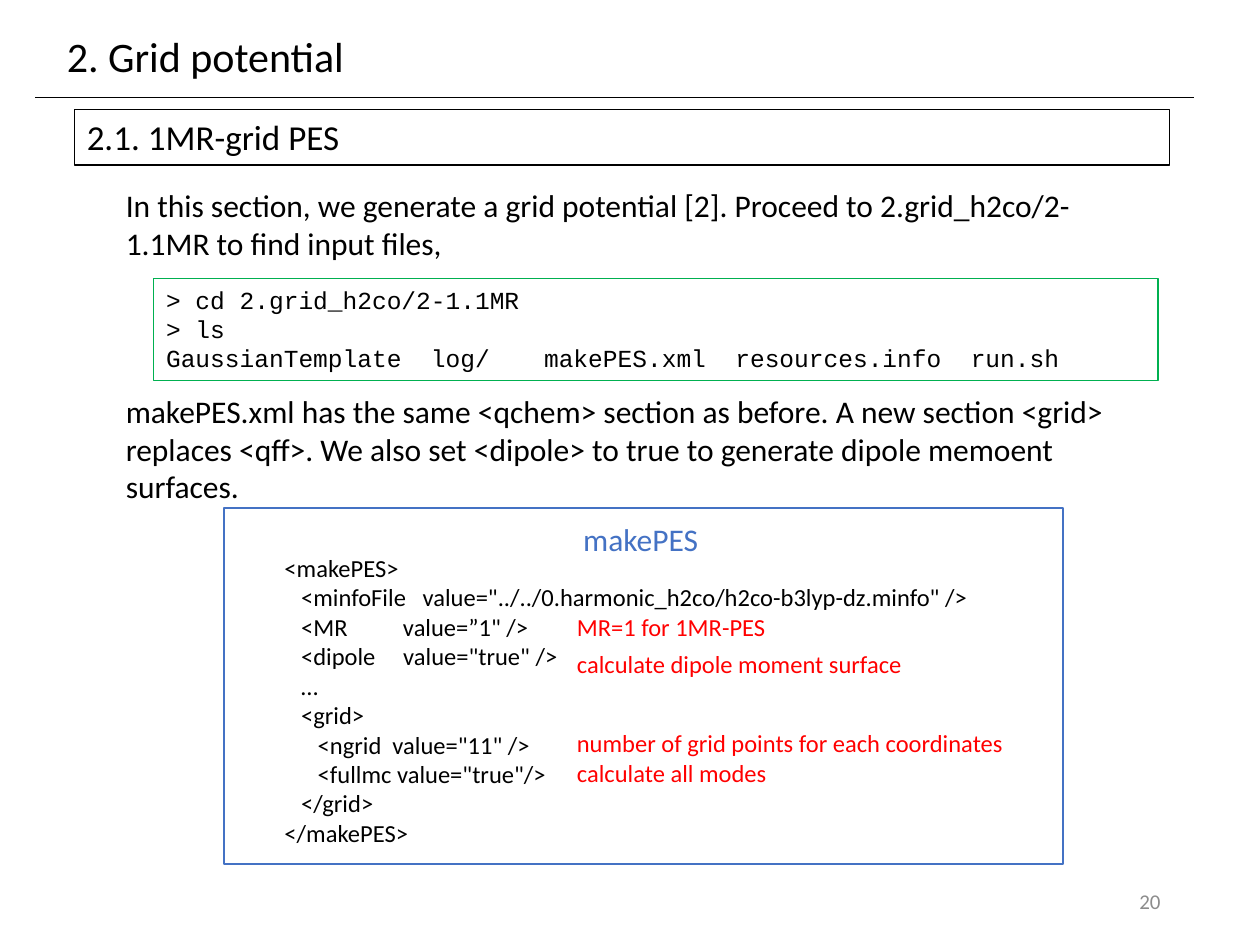
from lxml import etree
from pptx import Presentation
from pptx import util as u
from pptx.dml.color import RGBColor
from pptx.enum import shapes, text
from pptx.oxml.ns import qn

SCALE = 9144  # EMU per px, at 100 px to the inch
BLACK, RED, BLUE, GREEN, GRAY = "000000", "FF0000", "4472C4", "00B050", "8C8C8C"


def place(box, left, top, width, height):
    box.left, box.top, box.width, box.height = (
        u.Emu(px * SCALE) for px in (left, top, width, height))


def write(box, lines, size, color=BLACK, font="Calibri", wrap=True,
          align=text.PP_ALIGN.LEFT, anchor=text.MSO_ANCHOR.TOP):
    frame = box.text_frame
    frame.text = "\n".join(lines)
    frame.word_wrap = wrap
    frame.auto_size = text.MSO_AUTO_SIZE.NONE
    frame.vertical_anchor = anchor
    for para in frame.paragraphs:
        para.alignment = align
        para.font.size = u.Pt(size)
        para.font.name = font
        para.font.color.rgb = RGBColor.from_string(color)


deck = Presentation()
deck.slide_width, deck.slide_height = u.Emu(1000 * SCALE), u.Emu(750 * SCALE)
page = deck.slides.add_slide(deck.slide_layouts[5])

# Heading and its rule
title = page.shapes.title
place(title, 43, 19, 242, 50)
write(title, ["2. Grid potential"], 24, wrap=False)

rule = page.shapes.add_connector(
    shapes.MSO_CONNECTOR.STRAIGHT, *(u.Emu(px * SCALE) for px in (28, 77, 948, 77)))
rule.line.color.rgb = RGBColor.from_string(BLACK)
rule.line.width = u.Pt(0.5)
etree.SubElement(rule._element.spPr, qn("a:effectLst"))

# Outlined boxes: section heading, shell session, input file
section_lines = ["2.1. 1MR-grid PES"]
shell_lines = [
    "> cd 2.grid_h2co/2-1.1MR",
    "> ls",
    "GaussianTemplate  log/\tmakePES.xml  resources.info  run.sh",
]
frames = [
    ((59, 87, 869, 44), BLACK, 0.75, section_lines, 20, "Calibri"),
    ((122, 221, 797, 81), GREEN, 0.75, shell_lines, 14, "Courier New"),
    ((178, 403, 666, 283), BLUE, 1, [], 14, "Calibri"),
]
for area, color, weight, lines, size, font in frames:
    box = page.shapes.add_shape(shapes.MSO_SHAPE.RECTANGLE, 0, 0, 0, 0)
    place(box, *area)
    box.fill.background()
    box.line.color.rgb = RGBColor.from_string(color)
    box.line.width = u.Pt(weight)
    box.shadow.inherit = False
    if lines:
        write(box, lines, size, font=font)

# Running text, wrapped to its box
passages = [
    ((90, 143, 827, 71),
     "In this section, we generate a grid potential [2]. "
     "Proceed to 2.grid_h2co/2-1.1MR to find input files,"),
    ((90, 306, 834, 101),
     "makePES.xml has the same <qchem> section as before. "
     "A new section <grid> replaces <qff>. "
     "We also set <dipole> to true to generate dipole memoent surfaces."),
]
for area, passage in passages:
    box = page.shapes.add_textbox(0, 0, 0, 0)
    place(box, *area)
    write(box, [passage], 18)

# Input file listing with its label and remarks
listing = [
    "<makePES>",
    '   <minfoFile   value="../../0.harmonic_h2co/h2co-b3lyp-dz.minfo" />',
    '   <MR          value=”1" />',
    '   <dipole     value="true" />',
    "   …",
    "   <grid>",
    '      <ngrid  value="11" />',
    '      <fullmc value="true"/>',
    "   </grid>",
    "</makePES>",
]
labels = [
    ((216, 434, 566, 246), listing, 14, BLACK),
    ((453, 408, 112, 40), ["makePES"], 18, BLUE),
    ((448, 481, 171, 34), ["MR=1 for 1MR-PES"], 14, RED),
    ((448, 510, 289, 34), ["calculate dipole moment surface"], 14, RED),
    ((448, 573, 361, 34), ["number of grid points for each coordinates"], 14, RED),
    ((448, 597, 172, 34), ["calculate all modes"], 14, RED),
]
for area, lines, size, color in labels:
    box = page.shapes.add_textbox(0, 0, 0, 0)
    place(box, *area)
    write(box, lines, size, color, wrap=False)

page_number = page.shapes.add_textbox(0, 0, 0, 0)
place(page_number, 706, 695, 225, 40)
write(page_number, ["20"], 12, GRAY, align=text.PP_ALIGN.RIGHT,
      anchor=text.MSO_ANCHOR.MIDDLE)

deck.save("out.pptx")
